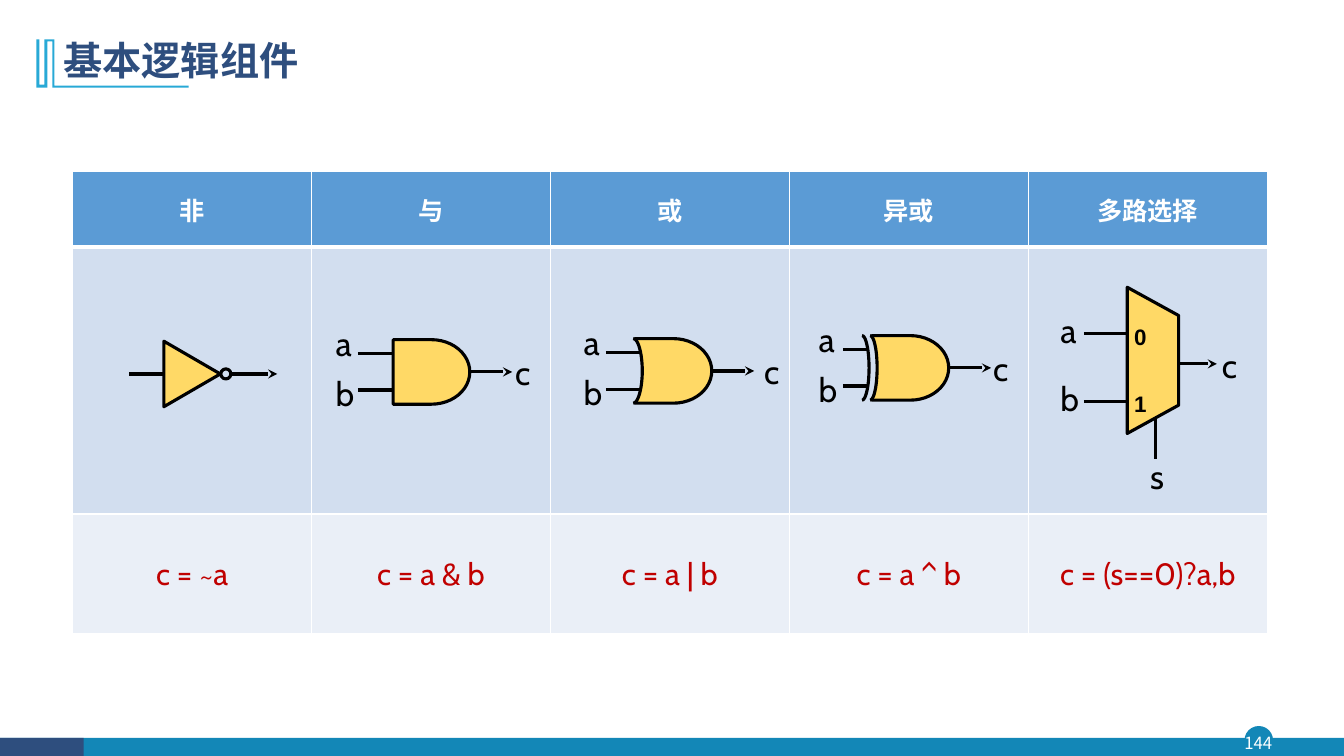
import math

from lxml import etree
from pptx import Presentation
from pptx.dml.color import RGBColor
from pptx.enum.shapes import MSO_CONNECTOR, MSO_SHAPE
from pptx.enum.text import MSO_ANCHOR, PP_ALIGN
from pptx.oxml.ns import qn
from pptx.util import Inches, Pt

STRAIGHT = MSO_CONNECTOR.STRAIGHT
DELAY, OVAL, RECT = MSO_SHAPE.FLOWCHART_DELAY, MSO_SHAPE.OVAL, MSO_SHAPE.RECTANGLE
TRAPEZOID, TRIANGLE = MSO_SHAPE.TRAPEZOID, MSO_SHAPE.ISOSCELES_TRIANGLE
CENTER, LEFT, MIDDLE = PP_ALIGN.CENTER, PP_ALIGN.LEFT, MSO_ANCHOR.MIDDLE

WIDTH, HEIGHT = 13.33, 7.5
CJK, LATIN, DIGIT = "Noto Sans CJK SC", "Cabin", "Arial"
NAVY, TEAL, SKY = "2E4E7E", "1387B7", "28A9D6"
WHITE, BLACK, RED, GOLD = "FFFFFF", "000000", "C00000", "FFD966"
HEADER_FILL, SYMBOL_FILL, FORMULA_FILL = "5B9BD5", "D2DEEF", "EAEFF7"

TABLE_LEFT, TABLE_TOP, COLUMN = 0.72, 1.7, 2.37
ROWS = (0.75, 2.65, 1.19)
COMPONENTS = (
    ("非", "c = ~a"),
    ("与", "c = a & b"),
    ("或", "c = a | b"),
    ("异或", "c = a ^ b"),
    ("多路选择", "c = (s==0)?a,b"),
)
BODY_W, BODY_H = 0.76, 0.64


def rgb(value):
    return RGBColor.from_string(value)


def inches(*lengths):
    return [Inches(length) for length in lengths]


def style_text(frame, text, size, font, color, bold=False, align=CENTER):
    frame.text = text
    paragraph = frame.paragraphs[0]
    paragraph.alignment = align
    run = paragraph.runs[0]
    run.font.size, run.font.bold = Pt(size), bold
    run.font.color.rgb = rgb(color)
    run.font.name = font
    etree.SubElement(run.font._element, qn("a:ea")).set("typeface", font)
    return paragraph


def paint(shape, fill, line=None, width=2.25):
    shape.shadow.inherit = False
    if fill:
        shape.fill.solid()
        shape.fill.fore_color.rgb = rgb(fill)
    else:
        shape.fill.background()
    if line:
        shape.line.color.rgb = rgb(line)
        shape.line.width = Pt(width)
    else:
        shape.line.fill.background()


def add_block(slide, kind, box, fill, line=None, width=2.25):
    block = slide.shapes.add_shape(kind, *inches(*box))
    paint(block, fill, line, width)
    return block


def add_outline(slide, points, fill, line=None, close=True):
    corners = [inches(*point) for point in points]
    builder = slide.shapes.build_freeform(*corners[0])
    builder.add_line_segments(corners[1:], close=close)
    paint(builder.convert_to_shape(), fill, line)


def add_wire(slide, start, end, arrow=False):
    wire = slide.shapes.add_connector(STRAIGHT, *inches(*start, *end))
    wire.line.color.rgb = rgb(BLACK)
    wire.line.width = Pt(2.25)
    if arrow:
        etree.SubElement(wire.line._get_or_add_ln(), qn("a:tailEnd")).set("type", "stealth")
    etree.SubElement(wire._element.spPr, qn("a:effectLst"))


def add_input_label(slide, text, left, top):
    label = slide.shapes.add_textbox(*inches(left, top, 0.4, 0.5))
    label.text_frame.word_wrap = False
    style_text(label.text_frame, text, 24, LATIN, BLACK, align=LEFT)


def add_tight_label(slide, text, box, size=24, font=LATIN, bold=False, align=LEFT):
    """Add a label without margins."""
    frame = slide.shapes.add_textbox(*inches(*box)).text_frame
    frame.word_wrap = True
    frame.margin_left = frame.margin_right = frame.margin_top = frame.margin_bottom = 0
    paragraph = style_text(frame, text, size, font, BLACK, bold, align)
    paragraph.line_spacing = 1.2


def add_title(slide, left, top):
    mark = (
        (0.18, 0), (0.18, 0.46), (1.51, 0.46), (1.51, 0.48), (0.16, 0.48),
        (0.16, 0.02), (0.11, 0.02), (0.11, 0.48), (0, 0.48), (0, 0),
        (0.03, 0), (0.03, 0.45), (0.08, 0.45), (0.08, 0),
    )
    add_outline(slide, [(left + x, top + y) for x, y in mark], SKY)
    title = slide.shapes.title
    title.left, title.top, title.width, title.height = inches(
        left + 0.17, top - 0.11, 3.1, 0.68)
    title.text_frame.vertical_anchor = MIDDLE
    paragraph = style_text(title.text_frame, "基本逻辑组件", 28, CJK, NAVY, True, LEFT)
    paragraph.line_spacing = 0.9


def add_footer(slide, top):
    add_block(slide, OVAL, (12.35, top - 0.11, 0.27, 0.27), TEAL, TEAL, 1)
    add_block(slide, RECT, (0, top, WIDTH, HEIGHT - top), TEAL)
    add_block(slide, RECT, (0, top, 0.83, HEIGHT - top), NAVY)
    number = slide.shapes.add_textbox(*inches(12.32, top - 0.11, 0.32, 0.31)).text_frame
    number.margin_left = number.margin_right = number.margin_top = number.margin_bottom = 0
    number.vertical_anchor = MIDDLE
    style_text(number, "144", 12, CJK, WHITE)


def format_cell(cell, fill, bottom):
    cell.fill.solid()
    cell.fill.fore_color.rgb = rgb(fill)
    cell.vertical_anchor = MIDDLE
    properties = cell._tc.get_or_add_tcPr()
    for index, side in enumerate("LRTB"):
        border = etree.Element(qn(f"a:ln{side}"), w=str(Pt(bottom if side == "B" else 1)))
        solid = etree.SubElement(border, qn("a:solidFill"))
        etree.SubElement(solid, qn("a:srgbClr")).set("val", WHITE)
        properties.insert(index, border)


def add_component_table(slide, left, top):
    table = slide.shapes.add_table(
        len(ROWS), len(COMPONENTS),
        *inches(left, top, COLUMN * len(COMPONENTS), sum(ROWS))).table
    for row, height in zip(table.rows, ROWS):
        row.height = Inches(height)
    for index, (component, formula) in enumerate(COMPONENTS):
        table.columns[index].width = Inches(COLUMN)
        header, symbol, expression = (table.cell(row, index) for row in range(3))
        format_cell(header, HEADER_FILL, 3)
        format_cell(symbol, SYMBOL_FILL, 1)
        format_cell(expression, FORMULA_FILL, 1)
        style_text(header.text_frame, component, 18, CJK, WHITE, True)
        style_text(expression.text_frame, formula, 22, LATIN, RED)


def add_not_gate(slide, left, top):
    middle = top + 1.26
    add_wire(slide, (left + 0.56, middle), (left + 0.91, middle))
    add_wire(slide, (left + 1.57, middle), (left + 2.03, middle), arrow=True)
    add_block(slide, OVAL, (left + 1.47, middle - 0.05, 0.1, 0.1), None, BLACK)
    body = add_block(slide, TRIANGLE, (left + 0.86, top + 0.98, 0.65, 0.56), GOLD, BLACK)
    body.rotation = 90


def add_two_input_gate(slide, left, top, wire_ends, label_offsets, arcs=()):
    """Draw a gate; arcs are (offset, depth) pairs, all offsets count from its body."""
    add_block(slide, DELAY, (left, top, BODY_W, BODY_H), GOLD, BLACK)
    for offset, depth in arcs:
        angles = [math.pi * step / 24 for step in range(25)]
        curve = [(left + offset + depth * math.sin(angle),
                  top + BODY_H * (1 - math.cos(angle)) / 2) for angle in angles]
        add_outline(slide, curve, SYMBOL_FILL, BLACK, close=False)
    start, end = wire_ends
    input_offset, output_offset = label_offsets
    for row, name in enumerate("ab"):
        y = top + 0.14 + 0.36 * row
        add_wire(slide, (left + start, y), (left + end, y))
        add_input_label(slide, name, left + input_offset, top - 0.22 + 0.5 * row)
    middle = top + BODY_H / 2
    add_wire(slide, (left + 0.77, middle), (left + 1.18, middle), arrow=True)
    add_tight_label(slide, "c", (left + output_offset, top + 0.04, 0.2, 0.44))


def add_multiplexer(slide, left, top):
    body = add_block(slide, TRAPEZOID, (left + 0.51, top + 0.87, 1.45, 0.51), GOLD, BLACK)
    body.adjustments[0] = 0.55
    body.rotation = 90
    for row, name in enumerate("ab"):
        y = top + 0.86 + 0.67 * row
        add_wire(slide, (left + 0.55, y), (left + 0.97, y))
        add_input_label(slide, name, left + 0.22, y - 0.28)
        add_tight_label(slide, str(row), (left + 1.01, y - 0.16, 0.2, 0.29),
                        16, DIGIT, True, CENTER)
    add_wire(slide, (left + 1.49, top + 1.16), (left + 1.87, top + 1.16), arrow=True)
    add_tight_label(slide, "c", (left + 1.92, top + 0.89, 0.2, 0.44))
    add_wire(slide, (left + 1.26, top + 2.1), (left + 1.26, top + 1.7))
    add_input_label(slide, "s", left + 1.11, top + 2.02)


def main():
    deck = Presentation()
    deck.slide_width, deck.slide_height = inches(WIDTH, HEIGHT)
    slide = deck.slides.add_slide(deck.slide_layouts[5])
    add_footer(slide, 7.32)
    add_title(slide, 0.36, 0.39)
    add_component_table(slide, TABLE_LEFT, TABLE_TOP)
    columns = [TABLE_LEFT + COLUMN * index for index in range(len(COMPONENTS))]
    top = TABLE_TOP + ROWS[0]
    add_not_gate(slide, columns[0], top)
    add_two_input_gate(slide, columns[1] + 0.81, top + 0.92, (-0.35, 0), (-0.67, 1.21))
    add_two_input_gate(slide, columns[2] + 0.84, top + 0.91, (-0.29, 0.06), (-0.61, 1.28),
                       arcs=[(-0.02, 0.09)])
    add_two_input_gate(slide, columns[3] + 0.82, top + 0.88, (-0.29, -0.04), (-0.63, 1.2),
                       arcs=[(-0.02, 0.07), (-0.1, 0.07)])
    add_multiplexer(slide, columns[4], top)
    deck.save("out.pptx")


if __name__ == "__main__":
    main()
